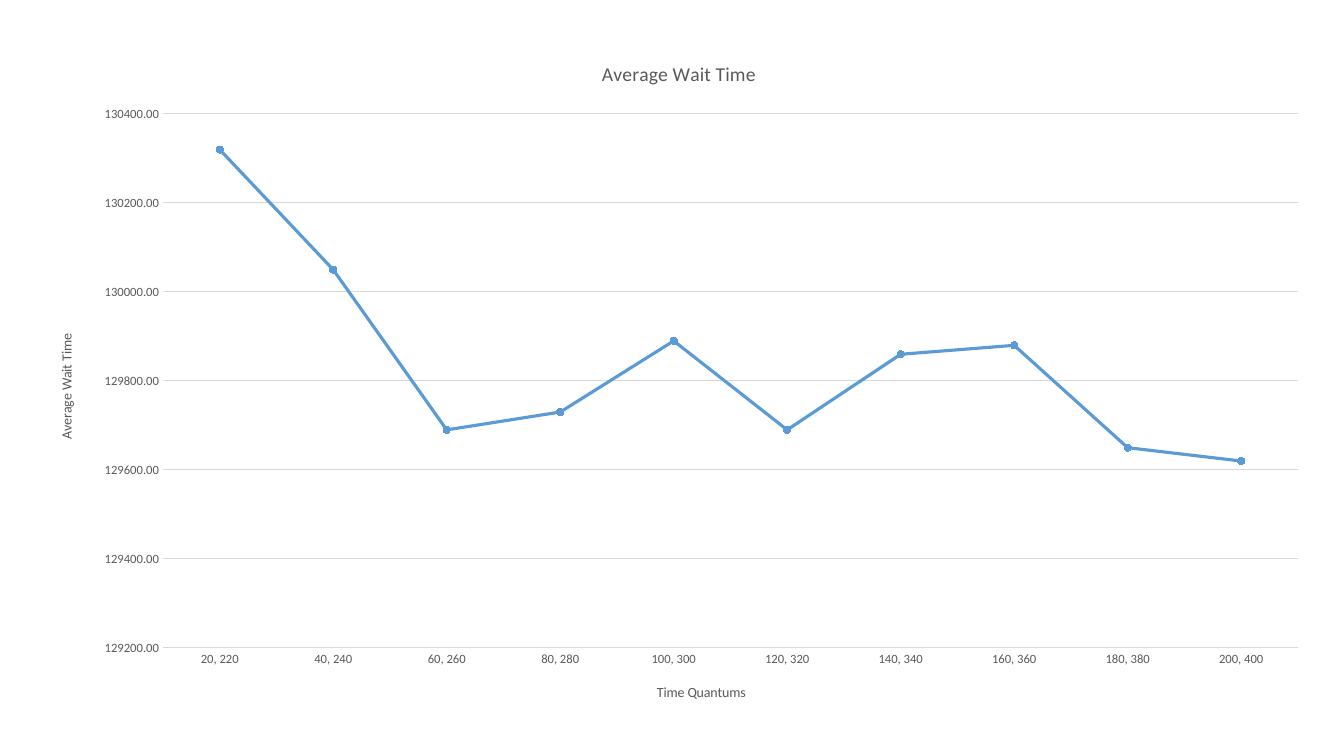
from lxml.etree import SubElement
from pptx import Presentation
from pptx.chart.data import CategoryChartData
from pptx.dml.color import RGBColor
from pptx.enum.chart import XL_CHART_TYPE, XL_MARKER_STYLE, XL_TICK_MARK
from pptx.oxml.ns import qn
from pptx.util import Pt

SCALE = 914400 / 100.8
COLORS = {"text": "595959", "grid": "D9D9D9", "series": "5B9BD5"}
CHART_BOX = (35, 38, 1288, 683)
PLOT_BOX = (163, 114, 1135, 534)
WAIT_TIMES = [130320, 130050, 129690, 129730, 129890,
              129690, 129860, 129880, 129650, 129620]


def style_font(font, size):
    """Apply the chart's typeface and text colour at the given size."""
    font.name = "Calibri"
    font.size = Pt(size)
    font.bold = False
    font.color.rgb = RGBColor.from_string(COLORS["text"])


def write_title(owner, text, size):
    """Give a chart or an axis a one-run title."""
    owner.has_title = True
    title = owner.chart_title if hasattr(owner, "chart_title") else owner.axis_title
    run = title.text_frame.paragraphs[0].add_run()
    run.text = text
    style_font(run.font, size)


presentation = Presentation()
presentation.slide_width = round(1344 * SCALE)
presentation.slide_height = round(756 * SCALE)
slide = presentation.slides.add_slide(presentation.slide_layouts[6])

# Line chart of wait time against pairs of time quantums
chart_data = CategoryChartData(number_format="0.00")
chart_data.categories = [f"{first}, {first + 200}" for first in range(20, 201, 20)]
chart_data.add_series("Average Wait Time", WAIT_TIMES)
chart = slide.shapes.add_chart(
    XL_CHART_TYPE.LINE_MARKERS, *(round(length * SCALE) for length in CHART_BOX), chart_data
).chart
chart.has_legend = False
style_font(chart.font, 10)
write_title(chart, "Average Wait Time", 14)
chart.chart_title.include_in_layout = False
chart.plots[0].vary_by_categories = False

# Axes
category_axis, value_axis = chart.category_axis, chart.value_axis
for axis, title in ((category_axis, "Time Quantums"), (value_axis, "Average Wait Time")):
    write_title(axis, title, 10)
    axis.major_tick_mark = axis.minor_tick_mark = XL_TICK_MARK.NONE
    style_font(axis.tick_labels.font, 9)
value_axis.minimum_scale = 129200
value_axis.maximum_scale = 130400
value_axis.major_unit = 200
value_axis.tick_labels.number_format = "0.00"
value_axis.tick_labels.number_format_is_linked = False
value_axis.format.line.fill.background()
for line in (category_axis.format.line, value_axis.major_gridlines.format.line):
    line.color.rgb = RGBColor.from_string(COLORS["grid"])
    line.width = Pt(0.75)

# Series line and markers
series = chart.plots[0].series[0]
series.smooth = False
series.format.line.width = Pt(2.25)
series.marker.style = XL_MARKER_STYLE.CIRCLE
series.marker.size = 5
series.marker.format.fill.solid()
for color in (series.format.line.color, series.marker.format.fill.fore_color,
              series.marker.format.line.color):
    color.rgb = RGBColor.from_string(COLORS["series"])

# Fixed inner plot area, as fractions of the chart
plot_area = chart.element.find(".//" + qn("c:plotArea"))
for layout in plot_area.findall(qn("c:layout")):
    plot_area.remove(layout)
layout = SubElement(plot_area, qn("c:layout"))
plot_area.insert(0, layout)
manual = SubElement(layout, qn("c:manualLayout"))
left, top, width, height = CHART_BOX
plot_left, plot_top, plot_width, plot_height = PLOT_BOX
for tag, value in (
    ("layoutTarget", "inner"), ("xMode", "edge"), ("yMode", "edge"),
    ("x", (plot_left - left) / width), ("y", (plot_top - top) / height),
    ("w", plot_width / width), ("h", plot_height / height),
):
    SubElement(manual, qn(f"c:{tag}")).set("val", str(value))

presentation.save("out.pptx")
